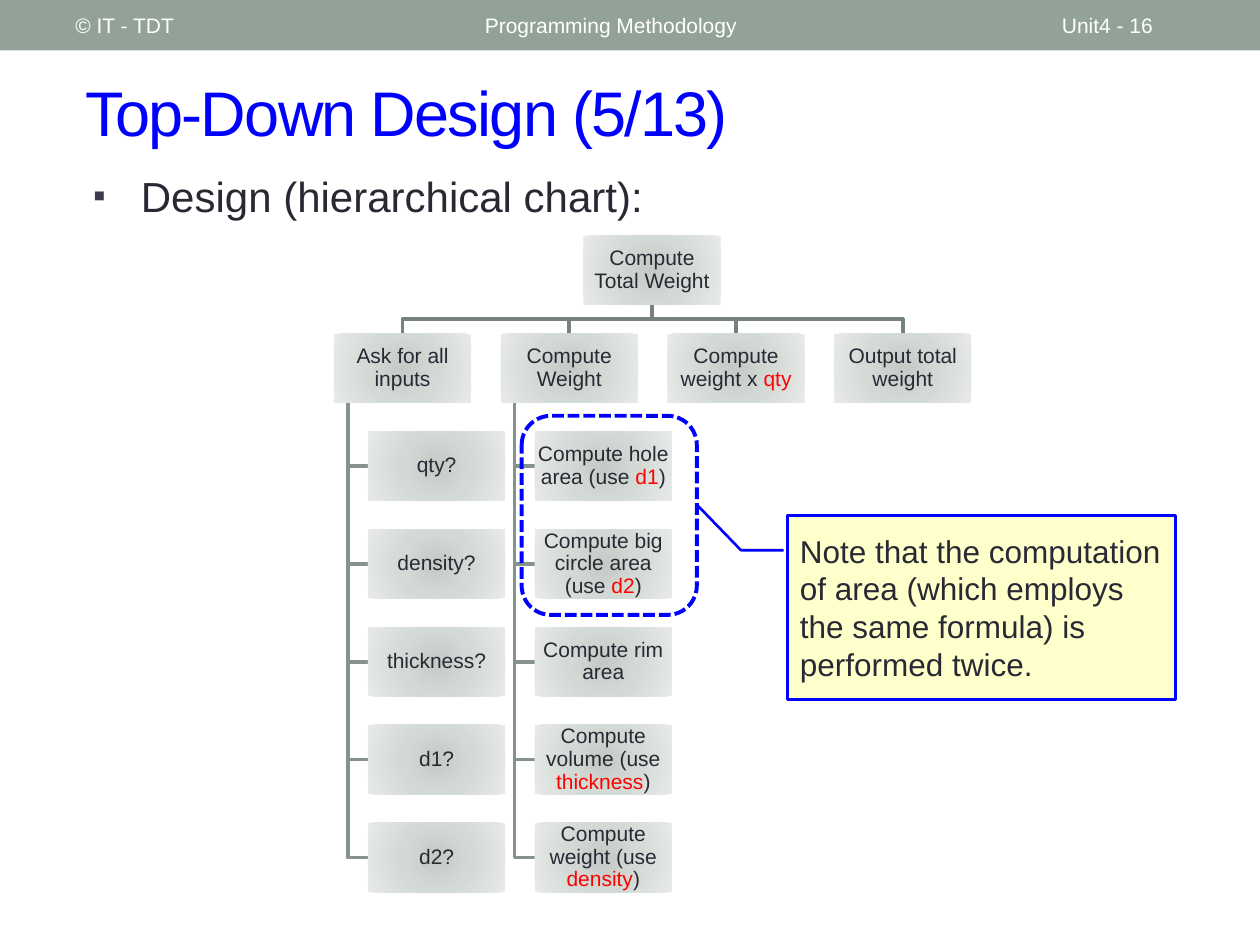
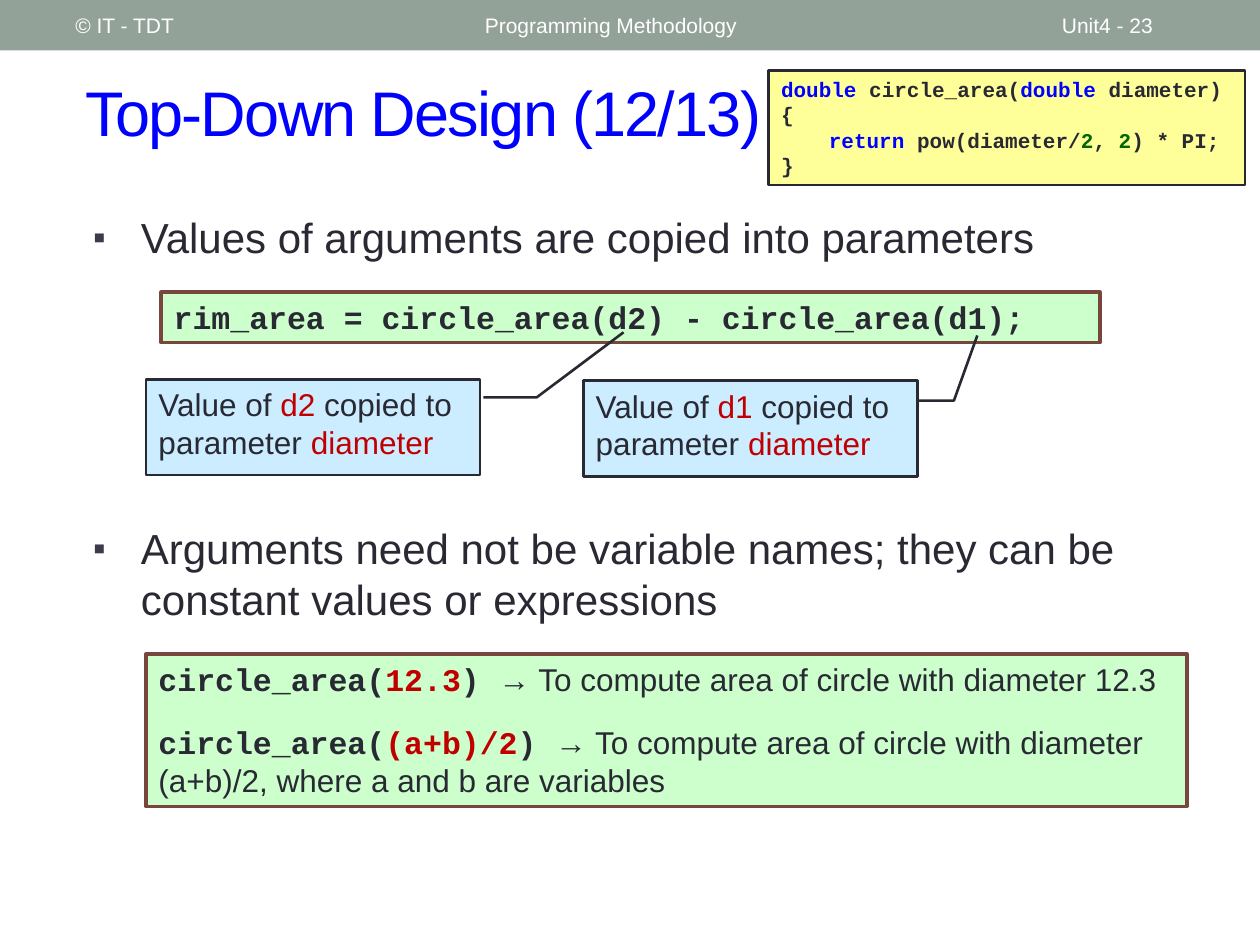
import pptx
import pptx.dml.color
import pptx.enum.dml
import pptx.enum.shapes
import pptx.enum.text
import pptx.oxml
import pptx.oxml.ns
import pptx.util

Inches, Pt = pptx.util.Inches, pptx.util.Pt
SHAPE = pptx.enum.shapes.MSO_SHAPE
ANCHOR = pptx.enum.text.MSO_ANCHOR
ALIGN = pptx.enum.text.PP_ALIGN

BODY, MONO = "Arial", "Courier New"
INK, BLUE, RED, CRIMSON, GREEN, WHITE = "292934", "0000FF", "FF0000", "C00000", "006600", "FFFFFF"
BAND, BULLET = "93A299", "3B3B4B"
MINT, BROWN, SKY, CREAM, YELLOW = "CCFFCC", "79463D", "CCECFF", "FFFFCC", "FFFF99"
STEM, BRANCH = "76827B", "85938B"
NODE_STOPS = ((0, "C4CAC6"), (45, "D3DAD6"), (100, "E7EAE8"))


def rgb(value):
    return pptx.dml.color.RGBColor.from_string(value)


def text(words, color=INK):
    return words, color, BODY


def code(words, color=INK):
    return words, color, MONO


def drawing_xml(markup):
    return pptx.oxml.parse_xml(markup.replace(">", f" {pptx.oxml.ns.nsdecls('a')}>", 1))


class Deck:
    def __init__(self):
        self.show = pptx.Presentation()
        self.show.slide_width, self.show.slide_height = Inches(10), Inches(7.5)
        self.slide = None

    def new_slide(self, title, number):
        self.slide = self.show.slides.add_slide(self.show.slide_layouts[6])
        self.box(0, 0, 10, 0.4, fill=BAND)
        for left, width, label in ((3.75, 4.5, "Programming Methodology"),
                                   (8.33, 1.17, f"Unit4 - {number}"),
                                   (0.5, 3.17, "© IT - TDT")):
            self.label(left, 0.02, width, 0.36, [[text(label, WHITE)]], 12)
        heading = self.label(0.58, 0.42, 9.17, 0.92, [[text(title, BLUE)]], 36)
        heading.paragraphs[0].runs[0].font._element.set("spc", "-100")

    def add_text(self, shape, paragraphs, size, anchor=ANCHOR.TOP):
        """Each paragraph is a list of (words, colour, font); code is bold."""
        frame = shape.text_frame
        frame.word_wrap = True
        frame.vertical_anchor = anchor
        for index, runs in enumerate(paragraphs):
            paragraph = frame.add_paragraph() if index else frame.paragraphs[0]
            paragraph.alignment = ALIGN.LEFT
            for words, color, font in runs:
                run = paragraph.add_run()
                run.text = words
                run.font.name, run.font.size = font, Pt(size)
                run.font.bold = font == MONO
                run.font.color.rgb = rgb(color)
        return frame

    def label(self, left, top, width, height, paragraphs, size, anchor=ANCHOR.MIDDLE):
        holder = self.slide.shapes.add_textbox(
            Inches(left), Inches(top), Inches(width), Inches(height))
        return self.add_text(holder, paragraphs, size, anchor)

    def bullet(self, top, width, height, words):
        frame = self.label(0.64, top, width, height, [[text(words)]], 24, ANCHOR.TOP)
        paragraph = frame.paragraphs[0]
        paragraph.space_before = Pt(6)
        props = paragraph._p.get_or_add_pPr()
        props.set("marL", str(Inches(0.38)))
        props.set("indent", str(-Inches(0.38)))
        for markup in (f'<a:buClr><a:srgbClr val="{BULLET}"/></a:buClr>',
                       '<a:buSzPct val="85000"></a:buSzPct>',
                       '<a:buFont typeface="Arial"></a:buFont>',
                       '<a:buChar char="▪"></a:buChar>'):
            props.append(drawing_xml(markup))

    def paint(self, shape, fill=None, line=None, weight=1.5):
        shape.shadow.inherit = False
        if fill:
            shape.fill.solid()
            shape.fill.fore_color.rgb = rgb(fill)
        else:
            shape.fill.background()
        if line:
            shape.line.color.rgb = rgb(line)
            shape.line.width = Pt(weight)
        else:
            shape.line.fill.background()

    def box(self, left, top, width, height, kind=SHAPE.RECTANGLE, **paint):
        shape = self.slide.shapes.add_shape(
            kind, Inches(left), Inches(top), Inches(width), Inches(height))
        self.paint(shape, **paint)
        return shape

    def code_box(self, left, top, width, height, paragraphs):
        panel = self.box(left, top, width, height, fill=MINT, line=BROWN, weight=2.08)
        return self.add_text(panel, paragraphs, 18)

    def callout(self, left, top, width, height, runs, bends, fill, line,
                anchor=ANCHOR.TOP, flip=False):
        note = self.box(left, top, width, height, SHAPE.LINE_CALLOUT_2, fill=fill, line=line)
        for index, bend in enumerate(bends):
            note.adjustments[index] = bend
        if flip:
            note._element.spPr.xfrm.set("flipH", "1")
        self.add_text(note, [runs], 18, anchor)

    def node(self, left, top, width, height, runs):
        step = self.box(left, top, width, height)
        stops = "".join(f'<a:gs pos="{pos * 1000}"><a:srgbClr val="{color}"/></a:gs>'
                        for pos, color in NODE_STOPS)
        center = '<a:fillToRect l="50000" t="50000" r="50000" b="50000"/>'
        gradient = drawing_xml(f'<a:gradFill><a:gsLst>{stops}</a:gsLst>'
                               f'<a:path path="circle">{center}</a:path></a:gradFill>')
        props = step._element.spPr
        props.replace(props.find(pptx.oxml.ns.qn("a:noFill")), gradient)
        frame = self.add_text(step, [runs], 12, ANCHOR.MIDDLE)
        frame.margin_left = frame.margin_right = Inches(0.01)
        frame.margin_top = frame.margin_bottom = Inches(0.01)
        frame.paragraphs[0].alignment = ALIGN.CENTER
        frame.paragraphs[0].line_spacing = 0.9

    def elbow(self, color, *points):
        corners = [(Inches(x), Inches(y)) for x, y in points]
        builder = self.slide.shapes.build_freeform(*corners[0])
        builder.add_line_segments(corners[1:], close=False)
        self.paint(builder.convert_to_shape(), line=color, weight=2.08)


def hierarchy(deck):
    width, height = 1.09, 0.55
    left, top, root_left = 2.65, 1.87, 4.63
    column_step, row_step = (6.62 - left) / 3, (6.53 - top) / 6
    spine, indent = 0.11, 0.27
    branches = [
        ([text("Ask for all inputs")],
         [[text(name)] for name in ("qty?", "density?", "thickness?", "d1?", "d2?")]),
        ([text("Compute Weight")],
         [[text("Compute hole area (use "), text("d1", RED), text(")")],
          [text("Compute big circle area (use "), text("d2", RED), text(")")],
          [text("Compute rim area")],
          [text("Compute volume (use "), text("thickness", RED), text(")")],
          [text("Compute weight (use "), text("density", RED), text(")")]]),
        ([text("Compute weight x "), text("qty", RED)], []),
        ([text("Output total weight")], []),
    ]
    root_middle, root_bottom = root_left + width / 2, top + height
    branch_top = top + row_step
    fork = (root_bottom + branch_top) / 2
    nodes = [(root_left, top, [text("Compute Total Weight")])]

    # Lines first, so that the nodes lie over them
    for column, (heading, steps) in enumerate(branches):
        x = left + column * column_step
        middle = x + width / 2
        deck.elbow(STEM, (root_middle, root_bottom), (root_middle, fork),
                   (middle, fork), (middle, branch_top))
        nodes.append((x, branch_top, heading))
        for row, step in enumerate(steps, 2):
            y = top + row * row_step
            deck.elbow(BRANCH, (x + spine, branch_top + height),
                       (x + spine, y + height / 2), (x + indent, y + height / 2))
            nodes.append((x + indent, y, step))
    for x, y, runs in nodes:
        deck.node(x, y, width, height, runs)


def design_slide(deck):
    deck.new_slide("Top-Down Design (5/13)", 16)
    deck.bullet(1.3, 5.87, 0.51, "Design (hierarchical chart):")
    hierarchy(deck)

    # Repeated computation and its note
    repeated = deck.box(4.14, 3.3, 1.39, 1.58, SHAPE.ROUNDED_RECTANGLE, line=BLUE, weight=2.25)
    repeated.line.dash_style = pptx.enum.dml.MSO_LINE.SQUARE_DOT
    deck.callout(6.25, 4.09, 3.08, 1.46,
                 [text("Note that the computation of area (which employs the same formula) "
                       "is performed twice.")],
                 (0.19, -0.01, 0.19, -0.12, -0.05, -0.23), CREAM, BLUE, ANCHOR.MIDDLE)


def arguments_slide(deck):
    deck.new_slide("Top-Down Design (12/13)", 23)

    # Arguments copied into parameters
    deck.bullet(1.63, 9, 0.51, "Values of arguments are copied into parameters")
    deck.code_box(1.28, 2.32, 7.45, 0.4,
                  [[code("rim_area = circle_area(d2) - circle_area(d1);")]])
    for left, top, argument, bends in (
            (1.16, 3.01, "d2", (0.19, -0.01, 0.19, -0.17, -0.49, -0.43)),
            (4.63, 3.02, "d1", (0.21, 0, 0.21, -0.11, -0.47, -0.18))):
        deck.callout(left, top, 2.65, 0.76,
                     [text("Value of "), text(argument, CRIMSON),
                      text(" copied to parameter "), text("diameter", CRIMSON)],
                     bends, SKY, INK, flip=True)

    # Constants and expressions as arguments
    deck.bullet(4.1, 9, 1.03, "Arguments need not be variable names; "
                              "they can be constant values or expressions")
    purpose = "→ To compute area of circle with diameter "
    examples = deck.code_box(
        1.16, 5.19, 8.26, 1.21,
        [[code("circle_area("), code(argument, CRIMSON), code(") "), text(purpose + meaning)]
         for argument, meaning in (("12.3", "12.3"),
                                   ("(a+b)/2", "(a+b)/2, where a and b are variables"))])
    examples.paragraphs[1].space_before = Pt(14.5)

    # Function definition
    definition = deck.box(6.1, 0.56, 3.78, 0.91, fill=YELLOW, line=INK)
    frame = deck.add_text(definition, [
        [code("double ", BLUE), code("circle_area("), code("double", BLUE),
         code(" diameter) {")],
        [code("return ", BLUE), code("pow(diameter/"), code("2", GREEN), code(", "),
         code("2", GREEN), code(") * PI;")],
        [code("}")]], 12)
    frame.paragraphs[1]._p.get_or_add_pPr().set("marL", str(Inches(0.38)))


def main():
    deck = Deck()
    design_slide(deck)
    arguments_slide(deck)
    deck.show.save("out.pptx")


if __name__ == "__main__":
    main()
